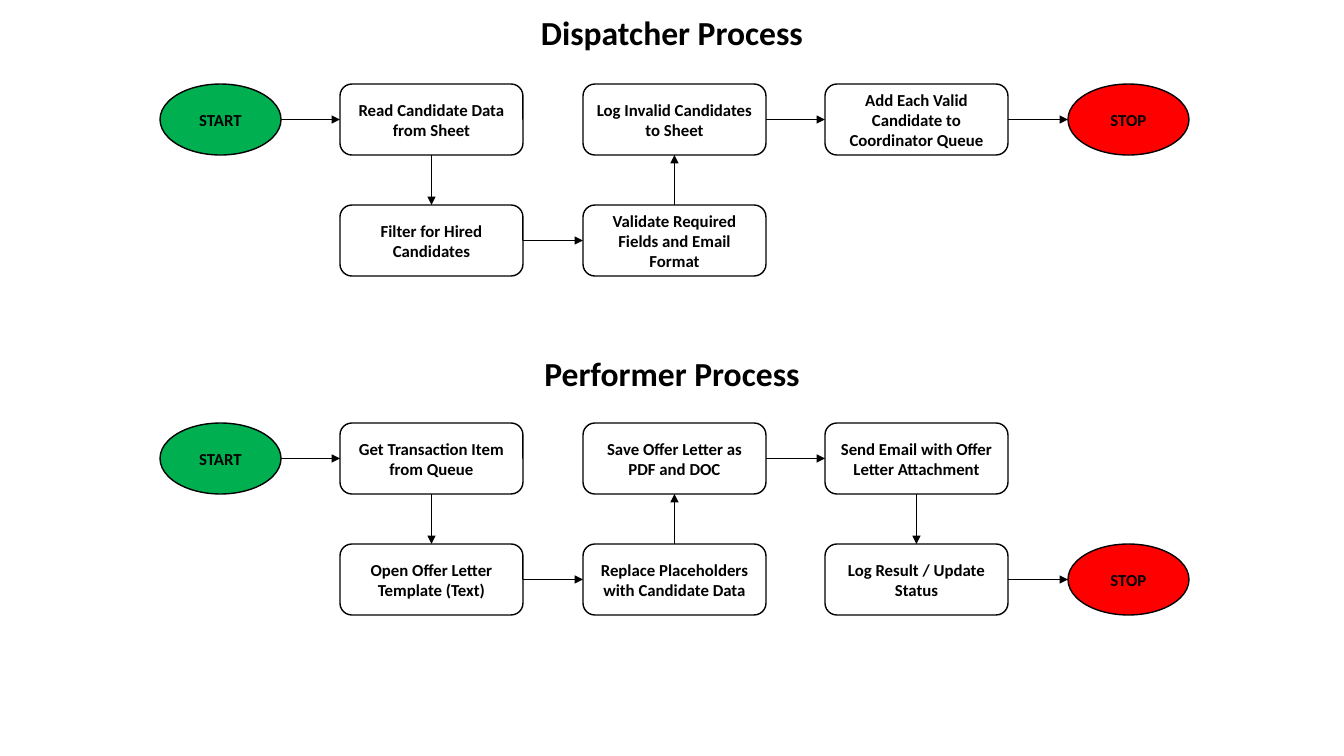
from pptx import Presentation
from pptx import util as u
from pptx.dml.color import RGBColor
from pptx.enum import shapes, text
from pptx.oxml import parse_xml
from pptx.oxml.ns import nsdecls

BLACK = RGBColor(0x00, 0x00, 0x00)
WHITE = RGBColor(0xFF, 0xFF, 0xFF)
GREEN = RGBColor(0x00, 0xB0, 0x50)
RED = RGBColor(0xFF, 0x00, 0x00)

SLIDE_W, SLIDE_H = 1344, 756
COLUMNS = [160, 340, 583, 825, 1068]
ROW_GAP = 121
STEP_W, OVAL_W, NODE_H = 183, 121, 71
TITLE_W, TITLE_H = 285, 50

# Each process: title, title top, first row top, steps as (text, column, row) in flow order
PROCESSES = [
    ("Dispatcher Process", 7, 84, [
        ("START", 0, 0),
        ("Read Candidate Data from Sheet", 1, 0),
        ("Filter for Hired Candidates", 1, 1),
        ("Validate Required Fields and Email Format", 2, 1),
        ("Log Invalid Candidates to Sheet", 2, 0),
        ("Add Each Valid Candidate to Coordinator Queue", 3, 0),
        ("STOP", 4, 0),
    ]),
    ("Performer Process", 348, 423, [
        ("START", 0, 0),
        ("Get Transaction Item from Queue", 1, 0),
        ("Open Offer Letter Template (Text)", 1, 1),
        ("Replace Placeholders with Candidate Data", 2, 1),
        ("Save Offer Letter as PDF and DOC", 2, 0),
        ("Send Email with Offer Letter Attachment", 3, 0),
        ("Log Result / Update Status", 3, 1),
        ("STOP", 4, 1),
    ]),
]
OVAL_FILLS = {"START": GREEN, "STOP": RED}


def px(*lengths):
    """Turn whole pixels (100.8 to the inch) into EMU."""
    return [u.Emu(round(n * 914400 / 100.8)) for n in lengths]


def write(sp, words, size=12, wrap=True, anchor=text.MSO_ANCHOR.MIDDLE):
    tf = sp.text_frame
    tf.word_wrap = wrap
    tf.vertical_anchor = anchor
    p = tf.paragraphs[0]
    p.alignment = text.PP_ALIGN.CENTER
    r = p.add_run()
    r.text = words
    r.font.name = "Calibri"
    r.font.size = u.Pt(size)
    r.font.bold = True
    r.font.color.rgb = BLACK


prs = Presentation()
prs.slide_width, prs.slide_height = px(SLIDE_W, SLIDE_H)
s = prs.slides.add_slide(prs.slide_layouts[6])

for title, title_top, first_top, steps in PROCESSES:
    sp = s.shapes.add_textbox(*px((SLIDE_W - TITLE_W) / 2, title_top, TITLE_W, TITLE_H))
    write(sp, title, size=24, wrap=False, anchor=text.MSO_ANCHOR.TOP)
    sp.text_frame.auto_size = text.MSO_AUTO_SIZE.SHAPE_TO_FIT_TEXT

    previous = None
    for words, column, row in steps:
        oval = words in OVAL_FILLS
        kind = shapes.MSO_SHAPE.OVAL if oval else shapes.MSO_SHAPE.ROUNDED_RECTANGLE
        left, top = COLUMNS[column], first_top + row * ROW_GAP
        width = OVAL_W if oval else STEP_W
        sp = s.shapes.add_shape(kind, *px(left, top, width, NODE_H))
        sp.shadow.inherit = False
        sp.fill.solid()
        sp.fill.fore_color.rgb = OVAL_FILLS.get(words, WHITE)
        sp.line.color.rgb = BLACK
        sp.line.width = u.Pt(1)
        write(sp, words)

        if previous:
            from_left, from_top, from_width = previous
            if from_top == top:
                middle = top + NODE_H / 2
                ends = (from_left + from_width, middle, left, middle)
            else:
                center = left + width / 2
                if top > from_top:
                    ends = (center, from_top + NODE_H, center, top)
                else:
                    ends = (center, from_top, center, top + NODE_H)
            arrow = s.shapes.add_connector(shapes.MSO_CONNECTOR.STRAIGHT, *px(*ends))
            arrow.line.color.rgb = BLACK
            arrow.line.width = u.Pt(0.5)
            arrow.line._get_or_add_ln().append(
                parse_xml(f'<a:tailEnd {nsdecls("a")} type="triangle"/>'))
            arrow._element.spPr.append(parse_xml(f'<a:effectLst {nsdecls("a")}/>'))
        previous = (left, top, width)

prs.save("out.pptx")
